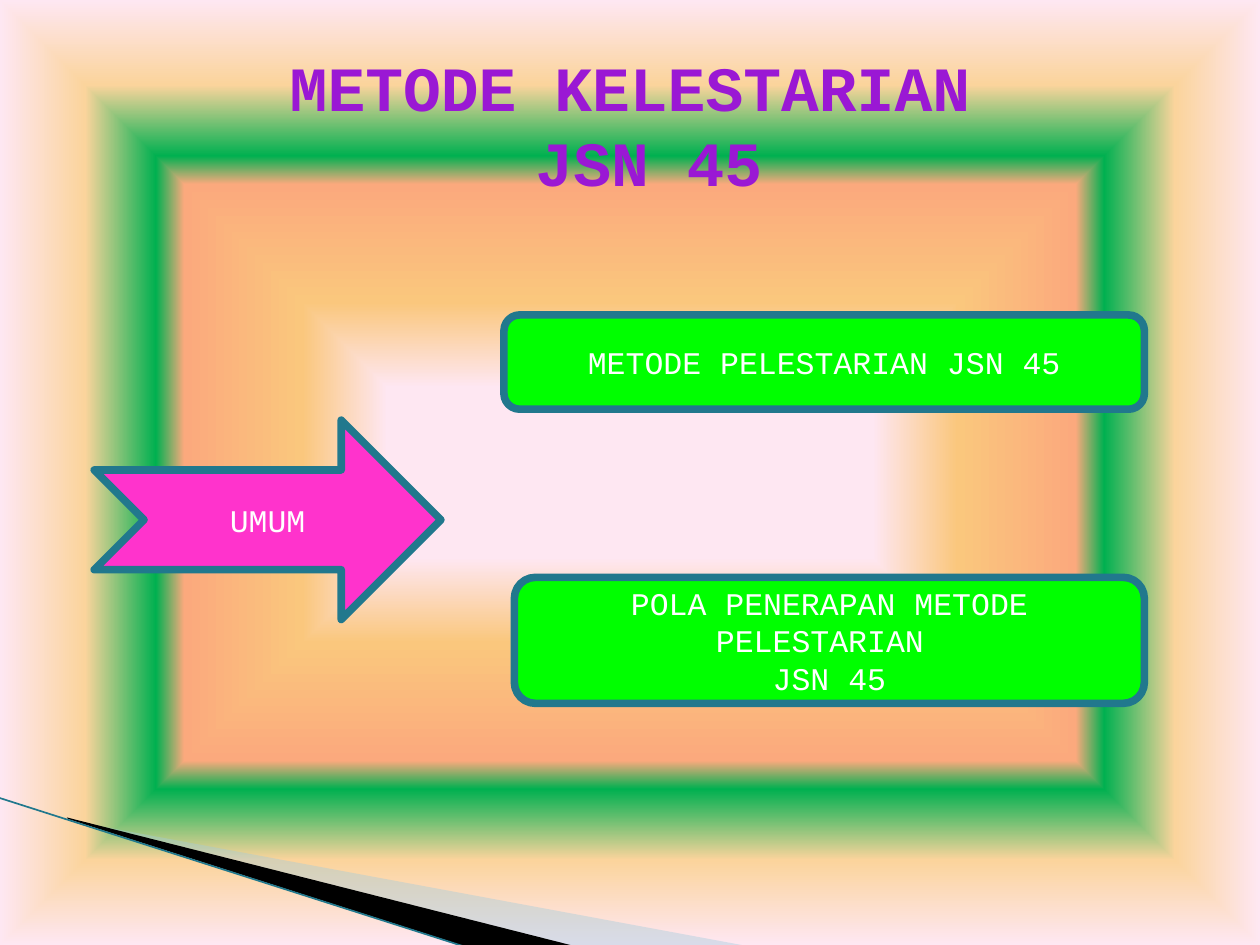
from lxml import etree
from pptx import Presentation
from pptx.dml.color import RGBColor
from pptx.enum.shapes import MSO_CONNECTOR, MSO_SHAPE
from pptx.enum.text import MSO_ANCHOR, PP_ALIGN
from pptx.oxml.ns import qn
from pptx.util import Cm, Pt

FONT = "Courier New"
PURPLE = RGBColor(0x9A, 0x18, 0xD4)
WHITE = RGBColor(0xFF, 0xFF, 0xFF)
PINK = RGBColor(0xFF, 0x33, 0xCC)
GREEN = RGBColor(0x00, 0xFF, 0x00)
TEAL = RGBColor(0x21, 0x78, 0x8D)
PALE_BLUE = RGBColor(0xA0, 0xCB, 0xDC)
BLACK = RGBColor(0x00, 0x00, 0x00)
ROSE = RGBColor(0xFE, 0xE7, 0xF2)
BACKGROUND_STOPS = [
    (18, ROSE),
    (36, RGBColor(0xFA, 0xC7, 0x7D)),
    (61, RGBColor(0xFB, 0xA9, 0x7D)),
    (67, RGBColor(0x00, 0xB0, 0x50)),
    (82, RGBColor(0xFB, 0xD4, 0x9C)),
    (100, ROSE),
]


def paint_background(slide, stops):
    """Fill the background with a gradient running outwards from the centre."""
    slide.background.fill.gradient()
    gradient = next(slide.element.iter(qn("a:gradFill")))
    for child in list(gradient):
        gradient.remove(child)
    stop_list = etree.SubElement(gradient, qn("a:gsLst"))
    for percent, color in stops:
        stop = etree.SubElement(stop_list, qn("a:gs"), pos=str(percent * 1000))
        etree.SubElement(stop, qn("a:srgbClr"), val=str(color))
    shape_path = etree.SubElement(gradient, qn("a:path"), {"path": "shape"})
    etree.SubElement(shape_path, qn("a:fillToRect"),
                     {side: "50000" for side in "ltrb"})


def write_text(shape, lines, size=18, color=WHITE, bold=False,
               anchor=MSO_ANCHOR.MIDDLE):
    frame = shape.text_frame
    frame.word_wrap = True
    frame.vertical_anchor = anchor
    for index, line in enumerate(lines):
        paragraph = frame.add_paragraph() if index else frame.paragraphs[0]
        paragraph.alignment = PP_ALIGN.CENTER
        run = paragraph.add_run()
        run.text = line
        run.font.name = FONT
        run.font.size = Pt(size)
        run.font.bold = bold
        run.font.color.rgb = color


def add_block(slide, preset, left, top, width, height, fill, lines):
    block = slide.shapes.add_shape(preset, Cm(left), Cm(top), Cm(width), Cm(height))
    block.shadow.inherit = False
    block.fill.solid()
    block.fill.fore_color.rgb = fill
    block.line.color.rgb = TEAL
    block.line.width = Pt(4.33)
    write_text(block, lines)


def add_wedge(slide, points, fill, opacity=100):
    start, *others = [(Cm(x), Cm(y)) for x, y in points]
    builder = slide.shapes.build_freeform(*start)
    builder.add_line_segments(others, close=True)
    wedge = builder.convert_to_shape()
    wedge.shadow.inherit = False
    wedge.fill.solid()
    wedge.fill.fore_color.rgb = fill
    wedge.line.fill.background()
    if opacity < 100:
        color = next(wedge.element.spPr.iter(qn("a:srgbClr")))
        etree.SubElement(color, qn("a:alpha"), val=str(opacity * 1000))


def add_edge(slide, x1, y1, x2, y2):
    edge = slide.shapes.add_connector(MSO_CONNECTOR.STRAIGHT,
                                      Cm(x1), Cm(y1), Cm(x2), Cm(y2))
    edge.line.color.rgb = TEAL
    edge.line.width = Pt(0.95)
    etree.SubElement(edge.element.spPr, qn("a:effectLst"))


def main():
    deck = Presentation()
    deck.slide_width, deck.slide_height = Cm(25.4), Cm(19.05)
    slide = deck.slides.add_slide(deck.slide_layouts[6])
    paint_background(slide, BACKGROUND_STOPS)

    # Corner decoration
    add_wedge(slide, [(1.4, 16.54), (15.11, 19.08), (11.58, 19.08), (1.4, 16.51)],
              PALE_BLUE, opacity=40)
    add_wedge(slide, [(1.35, 16.48), (11.61, 19.08), (9.45, 19.1), (1.37, 16.51)],
              BLACK)
    add_edge(slide, -0.03, 16.08, 9.42, 19.1)

    # Title
    title = slide.shapes.add_textbox(Cm(1.27), Cm(0.85), Cm(22.86), Cm(3.32))
    write_text(title, ["METODE KELESTARIAN", " JSN 45"], size=36, color=PURPLE,
               bold=True, anchor=MSO_ANCHOR.TOP)

    # Arrow leading to the two topics
    add_block(slide, MSO_SHAPE.NOTCHED_RIGHT_ARROW, 1.9, 8.47, 6.99, 4.02,
              PINK, ["UMUM"])
    topic = MSO_SHAPE.FLOWCHART_ALTERNATE_PROCESS
    add_block(slide, topic, 10.16, 6.35, 12.91, 1.9, GREEN,
              ["METODE PELESTARIAN JSN 45"])
    add_block(slide, topic, 10.37, 11.64, 12.7, 2.54, GREEN,
              ["POLA PENERAPAN METODE PELESTARIAN ", "JSN 45"])

    deck.save("out.pptx")


if __name__ == "__main__":
    main()
